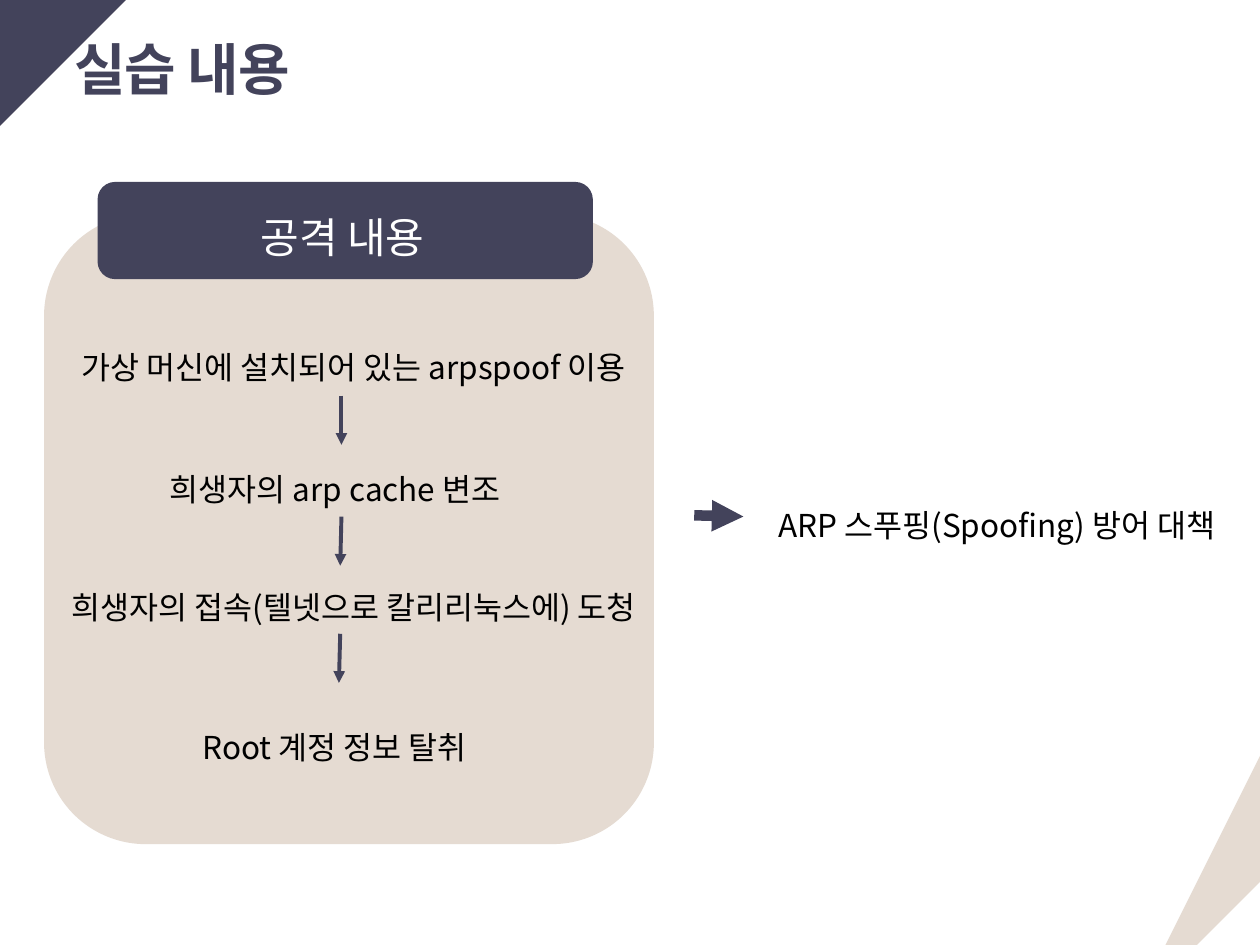
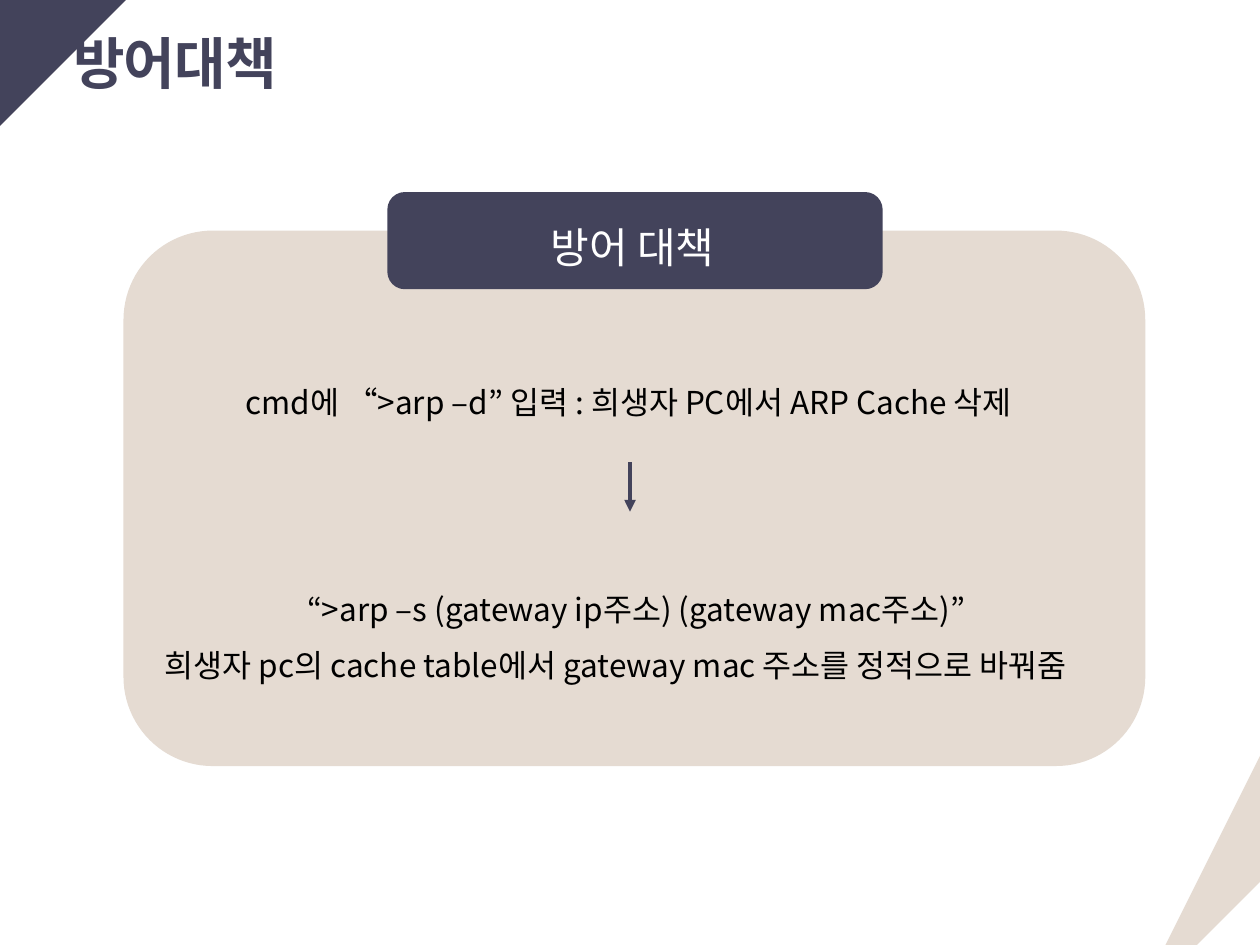
from pptx import Presentation
from pptx.dml.color import RGBColor
from pptx.enum.shapes import MSO_CONNECTOR, MSO_SHAPE
from pptx.enum.text import MSO_ANCHOR, PP_ALIGN
from pptx.oxml.ns import qn
from pptx.util import Inches, Pt
from lxml.etree import SubElement

HUES = {"navy": "43435B", "sand": "E5DBD2", "black": "000000", "white": "FFFFFF"}
COLOR = {name: RGBColor.from_string(code) for name, code in HUES.items()}
FONT = "Noto Sans CJK KR"

# Corner bands: colour and outline points
BANDS = [
    ("sand", [(0.79, 0), (0.9, 0), (0, 0.9), (0, 0.79)]),
    ("navy", [(0, 0), (0.79, 0), (0, 0.6)]),
    ("sand", [(8.78, 7.5), (8.6, 7.5), (10, 6.49), (10, 6.62)]),
]

# Panels and tabs: left, top, width, height
# Notes: left, top, width, height, lines
# Arrows: x1, y1, x2, y2, line width
SLIDES = [
    {
        "title": "실습 내용", "font": "Arial", "spot": (0, 0),
        "panel": (0.35, 1.7, 4.84, 5), "tab": (0.79, 1.46), "head": "공격 내용",
        "notes": [
            (0.55, 2.56, 4.57, 0.56, ["가상 머신에 설치되어 있는 arpspoof 이용"]),
            (1.25, 3.53, 2.94, 0.56, ["희생자의 arp cache 변조"]),
            (0.47, 4.47, 4.82, 0.56, ["희생자의 접속(텔넷으로 칼리리눅스에) 도청"]),
            (1.51, 5.58, 2.36, 0.56, ["Root 계정 정보 탈취"]),
            (6.08, 3.82, 3.74, 0.56, ["ARP 스푸핑(Spoofing) 방어 대책"]),
        ],
        "arrows": [
            (2.71, 3.14, 2.71, 3.53, 2.25),
            (2.71, 4.1, 2.7, 4.49, 2.25),
            (2.7, 5.03, 2.69, 5.42, 2.25),
            (5.51, 4.09, 5.9, 4.1, 6),
        ],
    },
    {
        "title": "방어대책", "font": FONT, "spot": (-0.01, -0.05),
        "panel": (0.98, 1.83, 8.11, 4.25), "tab": (3.09, 1.54), "head": "방어 대책",
        "notes": [
            (1.85, 2.84, 7.05, 0.56,
             ["cmd에 “>arp –d” 입력 : 희생자 PC에서 ARP Cache 삭제"]),
            (1.21, 4.48, 7.68, 0.96,
             ["“>arp –s (gateway ip주소) (gateway mac주소)”",
              "희생자 pc의 cache table에서 gateway mac 주소를 정적으로 바꿔줌"]),
        ],
        "arrows": [(5, 3.67, 5, 4.06, 2.25)],
    },
]


def write(slide, box, lines, size=18, color="black", font=FONT, bold=False,
          space=1.5, wrap=True, anchor=MSO_ANCHOR.TOP, inset=None, track=None):
    """Add a text box; with several lines, the first is centred."""
    frame = slide.shapes.add_textbox(*map(Inches, box)).text_frame
    frame.word_wrap = wrap
    frame.vertical_anchor = anchor
    if inset:
        (frame.margin_left, frame.margin_top,
         frame.margin_right, frame.margin_bottom) = map(Inches, inset)
    for i, line in enumerate(lines):
        para = frame.paragraphs[0] if i == 0 else frame.add_paragraph()
        para.line_spacing = space
        if i == 0 and len(lines) > 1:
            para.alignment = PP_ALIGN.CENTER
        run = para.add_run()
        run.text = line
        run.font.size = Pt(size)
        run.font.bold = bold
        run.font.color.rgb = COLOR[color]
        run.font.name = font
        props = run.font._element
        SubElement(props, qn("a:ea")).set("typeface", FONT)
        if track:
            props.set("spc", str(round(track * 100)))


def paint(shape, color, edge=None):
    shape.shadow.inherit = False
    shape.fill.solid()
    shape.fill.fore_color.rgb = COLOR[color]
    if edge:
        shape.line.color.rgb = COLOR[color]
        shape.line.width = Pt(edge)
    else:
        shape.line.fill.background()


deck = Presentation()
deck.slide_width, deck.slide_height = Inches(10), Inches(7.5)

for page in SLIDES:
    slide = deck.slides.add_slide(deck.slide_layouts[6])
    shapes = slide.shapes

    for color, points in BANDS:
        form = shapes.build_freeform(*points[0], scale=Inches(1))
        form.add_line_segments(points[1:], close=True)
        paint(form.convert_to_shape(), color)

    write(slide, (*page["spot"], 7.65, 0.88), [page["title"]], size=32,
          color="navy", font=page["font"], bold=True, space=1, wrap=False,
          anchor=MSO_ANCHOR.MIDDLE, inset=(0.59, 0.2, 0, 0), track=-0.5)

    left, top = page["tab"]
    round_box = MSO_SHAPE.ROUNDED_RECTANGLE
    paint(shapes.add_shape(round_box, *map(Inches, page["panel"])), "sand")
    paint(shapes.add_shape(round_box, *map(Inches, (left, top, 3.9, 0.74))),
          "navy", edge=2.25)
    write(slide, (left + 1.18, top - 0.03, 1.61, 0.71), [page["head"]],
          size=24, color="white")

    for *box, lines in page["notes"]:
        write(slide, box, lines)

    for *ends, width in page["arrows"]:
        arrow = shapes.add_connector(MSO_CONNECTOR.STRAIGHT, *map(Inches, ends))
        arrow.line.color.rgb = COLOR["navy"]
        arrow.line.width = Pt(width)
        SubElement(arrow.line._get_or_add_ln(), qn("a:tailEnd")).set("type", "triangle")
        SubElement(arrow._element.spPr, qn("a:effectLst"))

deck.save("out.pptx")
